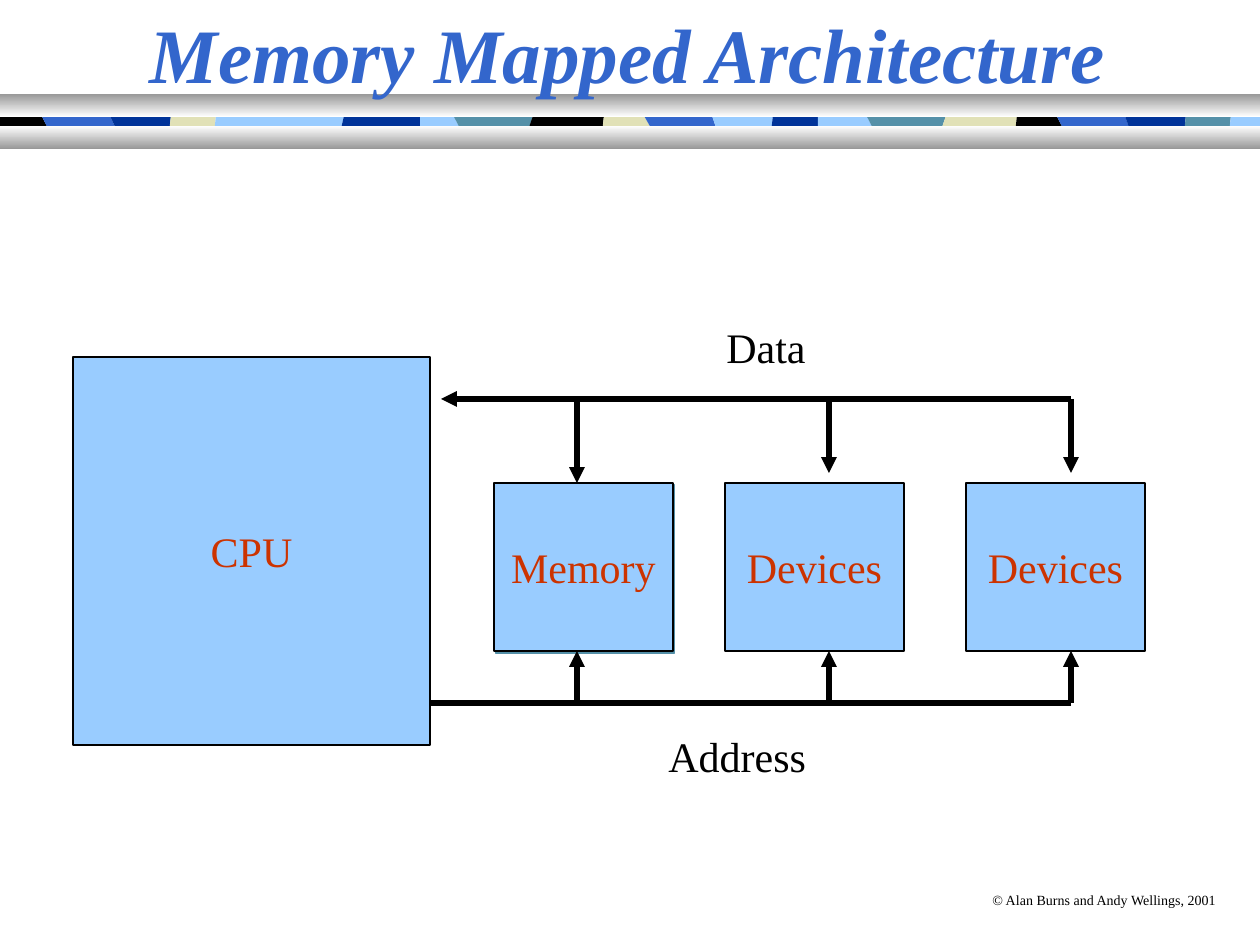
from lxml.etree import SubElement
from pptx import Presentation
from pptx.dml.color import RGBColor
from pptx.enum.shapes import MSO_CONNECTOR, MSO_SHAPE
from pptx.enum.text import MSO_ANCHOR, PP_ALIGN
from pptx.oxml.ns import qn
from pptx.util import Pt

PX = 914400 / 126
FONT = "Times New Roman"
BLACK = RGBColor(0x00, 0x00, 0x00)
WHITE = RGBColor(0xFF, 0xFF, 0xFF)
GREY = RGBColor(0x98, 0x98, 0x98)
SKY = RGBColor(0x99, 0xCC, 0xFF)
BLUE = RGBColor(0x33, 0x66, 0xCC)
NAVY = RGBColor(0x00, 0x33, 0x99)
TEAL = RGBColor(0x54, 0x90, 0xA8)
SAND = RGBColor(0xE1, 0xE1, 0xB7)
RED = RGBColor(0xCC, 0x33, 0x00)

deck = Presentation()
deck.slide_width = round(1260 * PX)
deck.slide_height = round(945 * PX)
slide = deck.slides.add_slide(deck.slide_layouts[6])
shapes = slide.shapes


def put_text(shape, text, size, color, align=PP_ALIGN.LEFT, anchor=MSO_ANCHOR.TOP):
    frame = shape.text_frame
    frame.text = text
    frame.word_wrap = False
    frame.vertical_anchor = anchor
    para = frame.paragraphs[0]
    para.alignment = align
    font = para.runs[0].font
    font.name = FONT
    font.size = Pt(size)
    font.color.rgb = color
    return font


def add_line(x1, y1, x2, y2, arrow=True):
    ends = [round(v * PX) for v in (x1, y1, x2, y2)]
    line = shapes.add_connector(MSO_CONNECTOR.STRAIGHT, *ends)
    line.line.color.rgb = BLACK
    line.line.width = Pt(3)
    if arrow:
        SubElement(line.line._get_or_add_ln(), qn("a:tailEnd"), type="triangle")
    SubElement(line._element.spPr, qn("a:effectLst"))


# Mosaic strip: colour, left edge and its lean at half height
tiles = [
    (BLACK, 0, 0), (BLUE, 46, 9), (NAVY, 114, 8), (SAND, 170, -2),
    (SKY, 215, -2), (NAVY, 342, -4), (SKY, 420, 0), (TEAL, 458, 9),
    (BLACK, 530, -6), (SAND, 603, -2), (BLUE, 649, 10), (SKY, 715, 6),
    (NAVY, 772, -2), (SKY, 818, 0), (TEAL, 871, 9), (SAND, 943, -6),
    (BLACK, 1016, -2), (BLUE, 1061, 9), (NAVY, 1128, 6), (TEAL, 1185, -2),
    (SKY, 1230, -2), (None, 1260, 0),
]
top, bottom = 107, 142
for (color, x1, lean1), (_, x2, lean2) in zip(tiles, tiles[1:]):
    pen = shapes.build_freeform(x1 - lean1, top, scale=PX)
    pen.add_line_segments(
        [(x2 - lean2, top), (x2 + lean2, bottom), (x1 + lean1, bottom)])
    tile = pen.convert_to_shape()
    tile.shadow.inherit = False
    tile.fill.solid()
    tile.fill.fore_color.rgb = color
    tile.line.fill.background()

# Shaded bars above and below the strip
for y, shades in ((94, (GREY, WHITE)), (126, (WHITE, GREY))):
    bar = shapes.add_shape(MSO_SHAPE.RECTANGLE, 0, round(y * PX),
                           round(1260 * PX), round(23 * PX))
    bar.shadow.inherit = False
    bar.line.fill.background()
    bar.fill.gradient()
    bar.fill.gradient_angle = 270
    for stop, shade, spot in zip(bar.fill.gradient_stops, shades, (0, 1)):
        stop.color.rgb = shade
        stop.position = spot

# Title
title = shapes.add_textbox(0, 0, round(1256 * PX), round(105 * PX))
font = put_text(title, "Memory Mapped Architecture", 44, BLUE,
                PP_ALIGN.CENTER, MSO_ANCHOR.MIDDLE)
font.bold = font.italic = True
title.text_frame.word_wrap = True

# Boxes
for name, *place in (("Memory", 494, 483, 179, 168), ("CPU", 73, 357, 357, 388),
                     ("Devices", 966, 483, 179, 168),
                     ("Devices", 725, 483, 179, 168)):
    box = shapes.add_shape(MSO_SHAPE.RECTANGLE, *[round(v * PX) for v in place])
    box.shadow.inherit = False
    box.fill.solid()
    box.fill.fore_color.rgb = SKY
    box.line.color.rgb = BLACK
    box.line.width = Pt(1)
    put_text(box, name, 24, RED, PP_ALIGN.CENTER, MSO_ANCHOR.MIDDLE)
    if name == "Memory":
        glow = SubElement(box._element.spPr.find(qn("a:effectLst")),
                          qn("a:outerShdw"), dist=str(Pt(1.4)), dir="2700000",
                          algn="ctr", rotWithShape="0")
        SubElement(glow, qn("a:srgbClr"), val=str(TEAL))

# Data and address buses with their branches
data, addr = 399, 703
add_line(1071, data, 441, data)
add_line(1071, addr, 431, addr, arrow=False)
for x, tip in ((577, 483), (829, 473), (1071, 473)):
    add_line(x, data, x, tip)
    add_line(x, addr, x, 651)

# Labels and copyright line
for text, size, *place in (
        ("Data", 24, 714, 315, 105, 63),
        ("Address", 24, 656, 724, 163, 63),
        ("© Alan Burns and Andy Wellings, 2001", 8, 980, 885, 252, 30)):
    label = shapes.add_textbox(*[round(v * PX) for v in place])
    put_text(label, text, size, BLACK)

deck.save("out.pptx")
